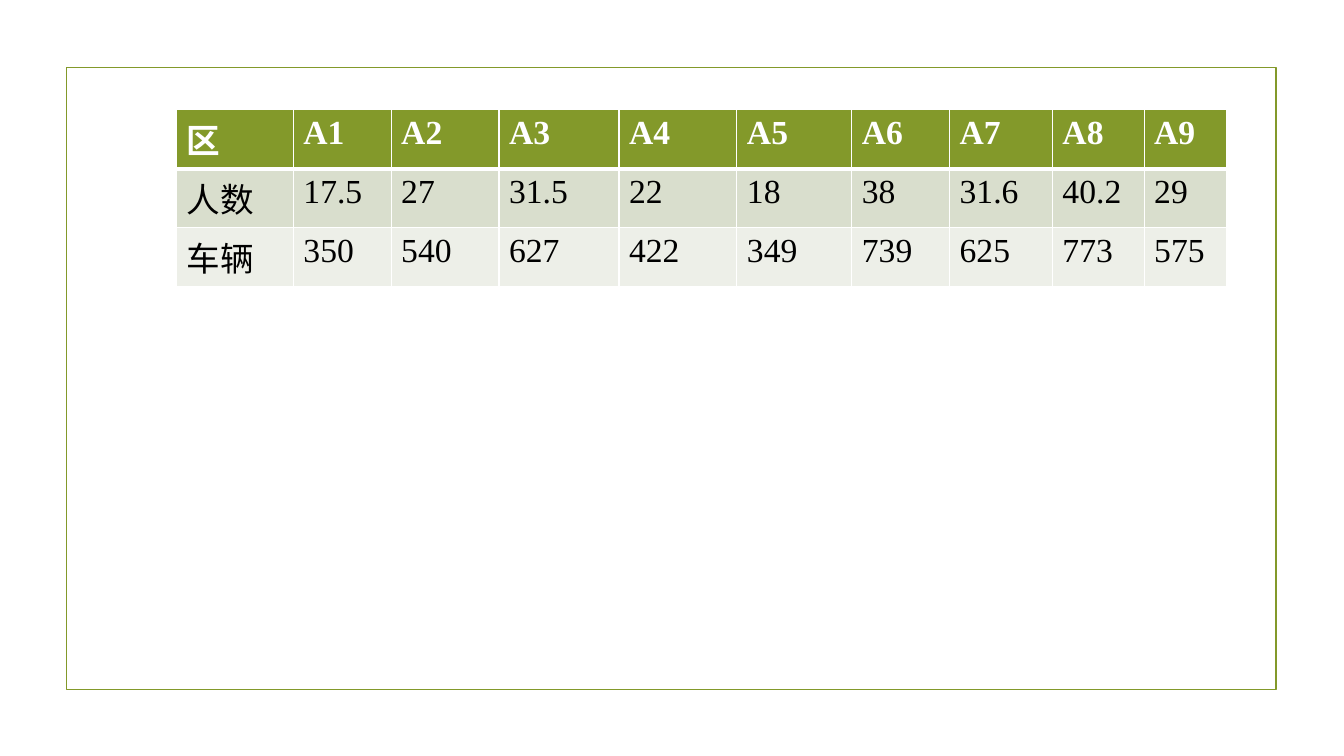
from lxml.etree import SubElement
from pptx import Presentation
from pptx.dml.color import RGBColor
from pptx.enum.shapes import MSO_SHAPE
from pptx.oxml.ns import qn
from pptx.util import Inches, Pt

OLIVE = RGBColor(0x83, 0x99, 0x2A)
SAGE = RGBColor(0xD9, 0xDE, 0xCD)
MIST = RGBColor(0xED, 0xEF, 0xE8)
WHITE = RGBColor(0xFF, 0xFF, 0xFF)
BLACK = RGBColor(0x00, 0x00, 0x00)

DISTRICTS = ["区"] + [f"A{number}" for number in range(1, 10)]
PEOPLE = ["人数", "17.5", "27", "31.5", "22", "18", "38", "31.6", "40.2", "29"]
VEHICLES = ["车辆", "350", "540", "627", "422", "349", "739", "625", "773", "575"]
COLUMN_WIDTHS = [1.16, 0.97, 1.07, 1.19, 1.17, 1.14, 0.97, 1.02, 0.91, 0.82]
ROW_HEIGHTS = [0.52, 0.41, 0.41]
ROW_FILLS = [OLIVE, SAGE, MIST]


class SlideBuilder:
    font_name = "Times New Roman"
    font_size = Pt(24)

    def __init__(self, slide):
        self.slide = slide

    def add_frame(self, left, top, width, height):
        frame = self.slide.shapes.add_shape(
            MSO_SHAPE.RECTANGLE, Inches(left), Inches(top), Inches(width), Inches(height)
        )
        frame.shadow.inherit = False
        frame.fill.background()
        frame.line.color.rgb = OLIVE
        frame.line.width = Pt(1.25)

    def add_border(self, cell, side, width):
        properties = cell._tc.get_or_add_tcPr()
        border = SubElement(properties, qn(f"a:ln{side}"), w=str(Pt(width)))
        fill = SubElement(border, qn("a:solidFill"))
        SubElement(fill, qn("a:srgbClr"), val=str(WHITE))

    def style_cell(self, cell, text, row_index):
        is_header = row_index == 0
        top_width = 3 if row_index == 1 else 1
        bottom_width = 3 if is_header else 1
        for side, width in (("L", 1), ("R", 1), ("T", top_width), ("B", bottom_width)):
            self.add_border(cell, side, width)
        cell.fill.solid()
        cell.fill.fore_color.rgb = ROW_FILLS[row_index]
        cell.text_frame.text = text
        font = cell.text_frame.paragraphs[0].runs[0].font
        font.name = self.font_name
        font.size = self.font_size
        font.bold = is_header
        font.color.rgb = WHITE if is_header else BLACK

    def add_table(self, left, top, height, rows):
        table = self.slide.shapes.add_table(
            len(rows), len(COLUMN_WIDTHS), Inches(left), Inches(top),
            Inches(sum(COLUMN_WIDTHS)), Inches(height)
        ).table
        for column, width in zip(table.columns, COLUMN_WIDTHS):
            column.width = Inches(width)
        for row_index, values in enumerate(rows):
            table.rows[row_index].height = Inches(ROW_HEIGHTS[row_index])
            for column_index, text in enumerate(values):
                self.style_cell(table.cell(row_index, column_index), text, row_index)


def main():
    deck = Presentation()
    deck.slide_width = Inches(13.33)
    deck.slide_height = Inches(7.5)
    builder = SlideBuilder(deck.slides.add_slide(deck.slide_layouts[6]))
    builder.add_frame(0.66, 0.67, 12, 6.17)
    builder.add_table(1.75, 1.09, 1.52, [DISTRICTS, PEOPLE, VEHICLES])
    deck.save("out.pptx")


if __name__ == "__main__":
    main()
